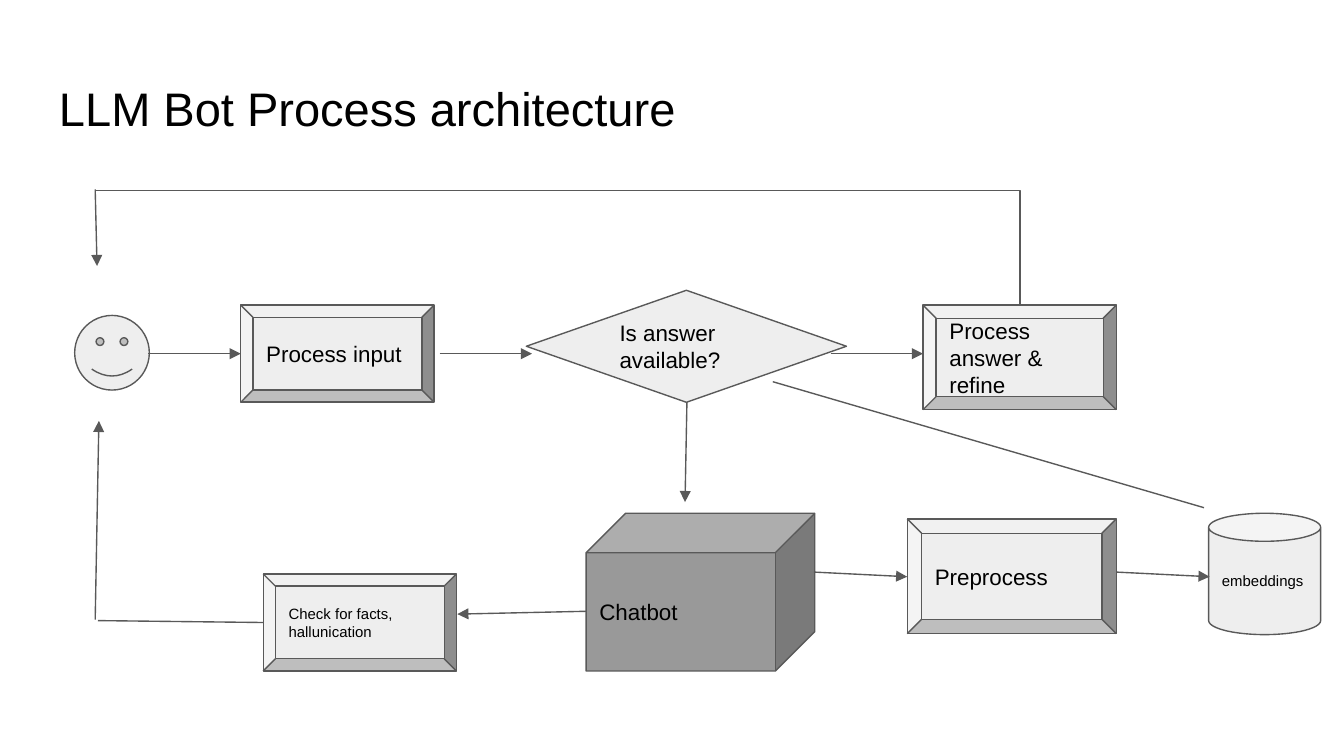
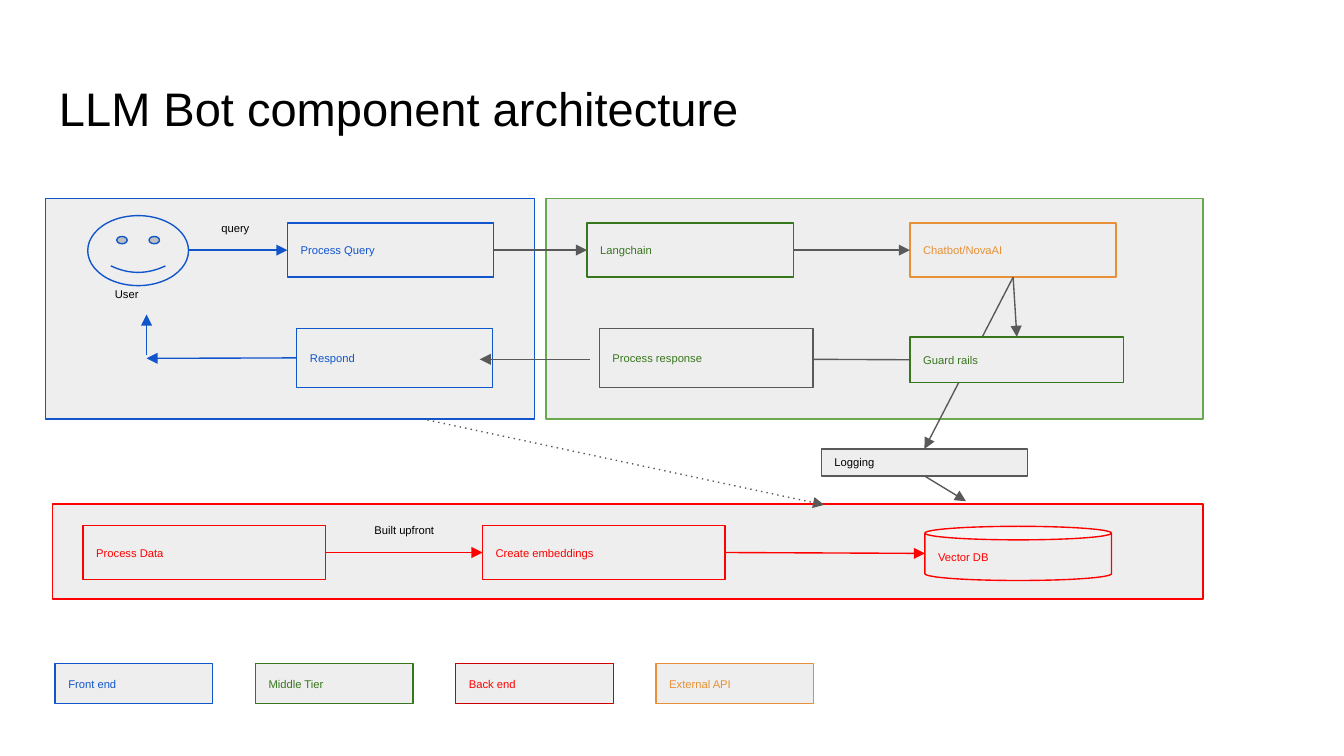
import pptx
import pptx.util
import pptx.dml.color
import pptx.enum.shapes
import pptx.enum.text
import pptx.oxml.ns
from lxml import etree

Pt = pptx.util.Pt
KIND = pptx.enum.shapes.MSO_SHAPE
LINK = pptx.enum.shapes.MSO_CONNECTOR
ANCHOR = pptx.enum.text.MSO_ANCHOR

FONT = "Arial"
BLACK, GREY, PALE, DARK = "000000", "595959", "EEEEEE", "999999"
BLUE, GREEN, LIME = "1155CC", "38761D", "6AA84F"
RED, BRICK, AMBER = "FF0000", "CC0000", "E69138"
TOP, LEFT, BOTTOM, RIGHT = range(4)


def paint(color, code):
    color.rgb = pptx.dml.color.RGBColor.from_string(code)


def write(frame, text, size=12, color=BLACK, anchor=ANCHOR.MIDDLE, wrap=True):
    frame.word_wrap = wrap
    frame.vertical_anchor = anchor
    frame.margin_left = frame.margin_right = Pt(7.2)
    frame.margin_top = frame.margin_bottom = Pt(7.2)
    para = frame.paragraphs[0]
    para.alignment = pptx.enum.text.PP_ALIGN.LEFT
    run = para.add_run()
    run.text = text
    run.font.name = FONT
    run.font.size = Pt(size)
    paint(run.font.color, color)


def child(node, tag, **values):
    return etree.SubElement(node, pptx.oxml.ns.qn(tag), values)


def spot(end):
    """Return the point of an end given as (x, y) or as (box, side)."""
    if isinstance(end[0], (int, float)):
        return Pt(end[0]), Pt(end[1])
    box, side = end
    mid = box.left + box.width // 2, box.top + box.height // 2
    return {TOP: (mid[0], box.top), LEFT: (box.left, mid[1]),
            BOTTOM: (mid[0], box.top + box.height),
            RIGHT: (box.left + box.width, mid[1])}[side]


class Deck:
    def __init__(self):
        self.show = pptx.Presentation()
        self.show.slide_width, self.show.slide_height = Pt(720), Pt(405)
        self.size = 12

    def page(self, title, size):
        """Start a titled slide; size is its usual text size."""
        self.slide = self.show.slides.add_slide(self.show.slide_layouts[6])
        self.size = size
        self.label(title, 24.5, 35.5, 671, 45, size=25.2)

    def label(self, text, x, y, w, h, size=None):
        box = self.slide.shapes.add_textbox(Pt(x), Pt(y), Pt(w), Pt(h))
        write(box.text_frame, text, size=size or self.size, anchor=ANCHOR.TOP)

    def box(self, x, y, w, h, text="", kind=KIND.RECTANGLE, fill=PALE,
            line=GREY, color=BLACK, size=None):
        shape = self.slide.shapes.add_shape(kind, Pt(x), Pt(y), Pt(w), Pt(h))
        shape.shadow.inherit = False
        shape.fill.solid()
        paint(shape.fill.fore_color, fill)
        shape.line.width = Pt(0.75)
        paint(shape.line.color, line)
        if text:
            write(shape.text_frame, text, size=size or self.size, color=color)
        return shape

    def line(self, start, end, color=GREY, head=True, dash=None,
             kind=LINK.STRAIGHT):
        """Draw a line whose ends are (x, y) or (rectangle, side)."""
        link = self.slide.shapes.add_connector(kind, *spot(start), *spot(end))
        for point, join in ((start, link.begin_connect),
                            (end, link.end_connect)):
            if not isinstance(point[0], (int, float)):
                join(*point)
        link.line.width = Pt(0.75)
        paint(link.line.color, color)
        stroke = link.line._get_or_add_ln()
        if dash:
            child(stroke, "a:prstDash", val=dash)
        if head:
            child(stroke, "a:tailEnd", type="triangle")
        child(link._element.spPr, "a:effectLst")
        return link

    def bend(self, start, end):
        """Draw a one-corner line going up from start, then left to end."""
        (x1, y1), (x2, y2) = start, end
        rise, run = y1 - y2, x1 - x2
        cx, cy = (x1 + x2) / 2, (y1 + y2) / 2
        link = self.line((cx + rise / 2, cy - run / 2),
                         (cx - rise / 2, cy + run / 2),
                         head=False, kind=LINK.ELBOW)
        form = link._element.spPr
        form.xfrm.set("rot", "5400000")
        form.prstGeom.set("prst", "bentConnector2")


def process(deck):
    deck.page("LLM Bot Process architecture", 12)
    deck.box(40, 169, 40, 40, kind=KIND.SMILEY_FACE)
    deck.box(129, 163.5, 103.5, 52, "Process input", KIND.BEVEL)
    deck.box(282, 155.5, 171.5, 60, "Is answer available?", KIND.DIAMOND)
    deck.box(494.5, 163.5, 103.5, 56, "Process answer & refine", KIND.BEVEL)
    for x in (79.5, 235.5, 445):
        deck.line((x, 189.5), (x + 49.5, 189.5))

    deck.bend((546.5, 163.5), (51, 102))
    deck.line((51, 101.5), (52, 142.5))
    deck.line((368, 215.5), (367, 269))

    deck.box(314, 275, 122.5, 84.5, "Chatbot", KIND.CUBE, fill=DARK)
    deck.box(486, 278, 112, 61.5, "Preprocess", KIND.BEVEL)
    deck.box(647.5, 275, 60, 65, "embeddings", KIND.CAN, size=8)
    for x in (436, 598):
        deck.line((x, 306.5), (x + 50, 309))

    deck.box(141, 307.5, 103.5, 52, "Check for facts, hallunication",
             KIND.BEVEL, size=8)
    deck.line((314, 327.5), (245, 329))
    deck.line((141, 333.5), (52.5, 332.5), head=False)
    deck.line((51, 332), (53, 225.5))
    deck.line((414, 204.5), (645, 272), head=False)


def parts(deck):
    deck.page("LLM Bot component architecture", 6)
    deck.box(292.5, 106.5, 352, 118, line=LIME)
    deck.box(24.5, 106.5, 262, 118, line=BLUE)
    deck.box(28, 270, 616.5, 51, line=RED)

    data, embed = [
        deck.box(x, 281.5, 130, 29, text, line=RED, color=RED)
        for x, text in ((44.5, "Process Data"), (258.5, "Create embeddings"))]
    deck.box(495.5, 282, 100, 29, "Vector DB", KIND.CAN, line=RED, color=RED)
    deck.line((data, RIGHT), (embed, LEFT), RED)
    deck.line((embed, RIGHT), (495.5, 296.5), RED)

    deck.box(47, 115.5, 54, 37.5, kind=KIND.SMILEY_FACE, line=BLUE)
    query, chain, chat = [
        deck.box(x, 119.5, 110.5, 29, text, line=color, color=color)
        for x, text, color in ((154, "Process Query", BLUE),
                               (314.5, "Langchain", GREEN),
                               (487.5, "Chatbot/NovaAI", AMBER))]
    deck.line((101.5, 134), (query, LEFT), BLUE)
    deck.line((query, RIGHT), (chain, LEFT))
    deck.line((chain, RIGHT), (chat, LEFT))

    log = deck.box(440, 240.5, 110.5, 14.5, "Logging")
    deck.line((chat, BOTTOM), (log, TOP))
    guard = deck.box(487.5, 180.5, 114.5, 24.5, "Guard rails",
                     line=GREEN, color=GREEN)
    deck.line((chat, BOTTOM), (guard, TOP))
    reply = deck.box(159, 176, 105, 31.5, "Respond", line=BLUE, color=BLUE)
    deck.line((guard, LEFT), (429, 192.5))
    deck.box(321, 176, 114.5, 31.5, "Process response", color=GREEN)
    deck.line((316, 192.5), (257, 192.5))
    deck.line((reply, LEFT), (78.5, 192), BLUE)
    deck.line((78.5, 190), (78.5, 168.5), BLUE)
    deck.line((log, BOTTOM), (517.5, 268.5))

    tiers = (("Front end", BLUE, BLUE), ("Middle Tier", GREEN, GREEN),
             ("Back end", BRICK, RED), ("External API", AMBER, AMBER))
    for i, (text, line, color) in enumerate(tiers):
        deck.box(29.5 + 107.3 * i, 355.5, 84.5, 21.5, text,
                 line=line, color=color)

    deck.label("User", 54.5, 150.5, 41, 21.5)
    deck.label("query", 111.5, 115, 37.5, 21.5)
    deck.label("Built upfront", 193.5, 276.5, 66, 21.5)
    deck.line((229, 225), (441.5, 270.5), dash="dot")


def main():
    deck = Deck()
    process(deck)
    parts(deck)
    deck.show.save("out.pptx")


if __name__ == "__main__":
    main()
